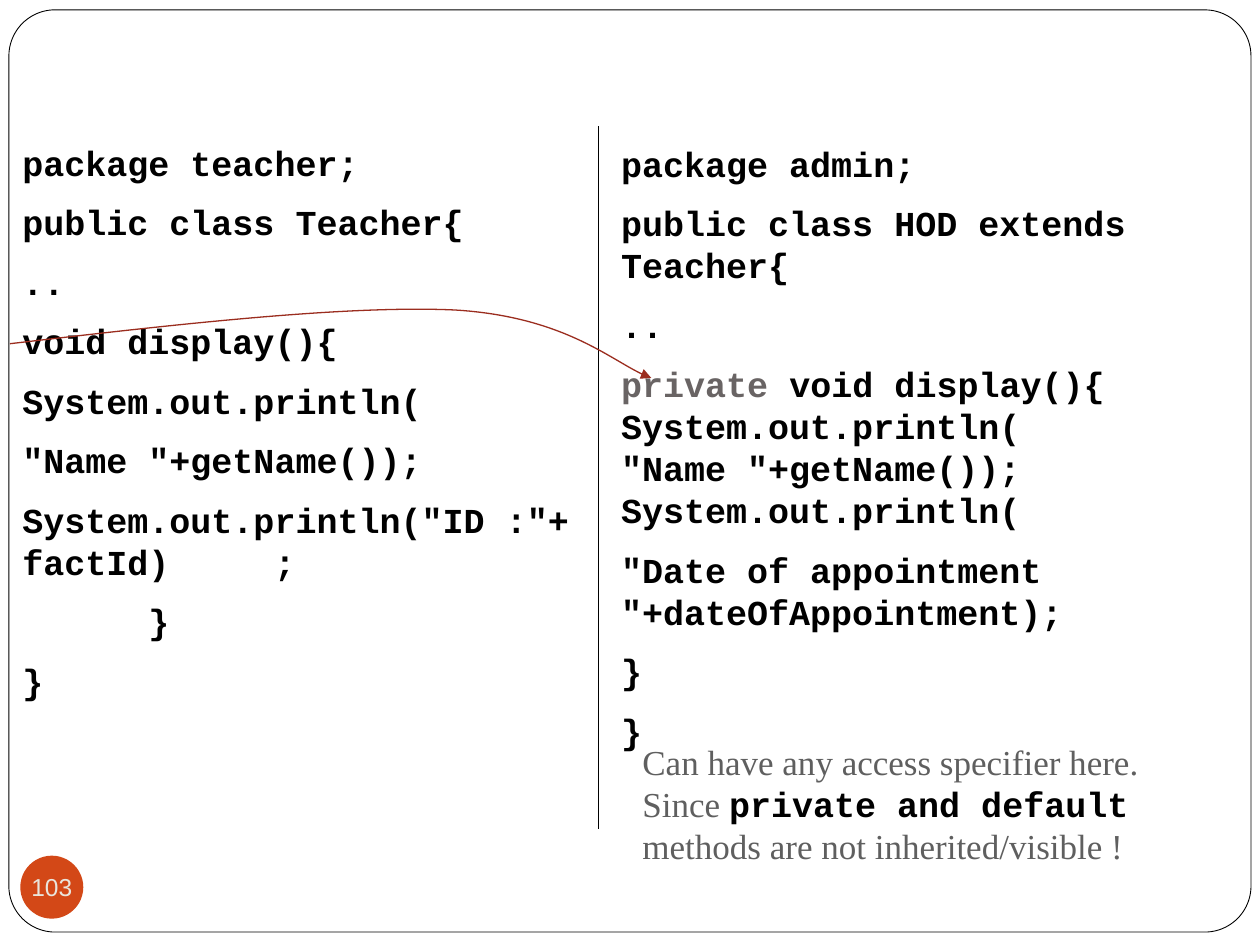
from lxml import etree
from pptx import Presentation
from pptx import util as u
from pptx.dml.color import RGBColor
from pptx.enum import shapes, text
from pptx.oxml.ns import qn

MONO, SERIF = "Courier New", "Times New Roman"
BLACK, GREY = "000000", "5F5F5F"

# Each paragraph: (runs of (words, colour), space before in points)
TEACHER = [([(line, BLACK)], 10) for line in (
    "package teacher;",
    "public class Teacher{",
    "..",
    "void display(){",
    "System.out.println(",
    '"Name "+getName());',
    'System.out.println("ID :"+factId)\t;',
    "\t}",
    "}",
)]
ADMIN = [
    ([("package admin;", BLACK)], 0),
    ([("public class HOD extends Teacher{", BLACK)], 10),
    ([("..", BLACK)], 10),
    ([("private ", "696464"), ("void display(){", BLACK)], 10),
    ([("System.out.println(", BLACK)], 0),
    ([('"Name "+getName()); System.out.println(', BLACK)], 0),
    ([('"Date of appointment "+dateOfAppointment);', BLACK)], 10),
    ([("}", BLACK)], 10),
    ([("}", BLACK)], 10),
]
NOTE = [
    ("Can have any access specifier here. Since ", SERIF, GREY),
    ("private and default ", MONO, BLACK),
    ("methods are not inherited/visible !", SERIF, GREY),
]


def rgb(code):
    return RGBColor.from_string(code)


def cm(*sizes):
    return [u.Cm(size) for size in sizes]


def style(run, face, size, colour, bold=False):
    font = run.font
    font.name, font.size, font.bold = face, u.Pt(size), bold
    font.color.rgb = rgb(colour)


def add_run(para, words, face, colour):
    run = para.add_run()
    run.text = words
    style(run, face, 20, colour, face == MONO)


def add_tabs(para, stops):
    props = para._p.get_or_add_pPr()
    tabs = etree.SubElement(props, qn("a:tabLst"))
    for stop in stops:
        etree.SubElement(tabs, qn("a:tab"), pos=str(u.Cm(stop)), algn="l")


def add_frame(slide, box):
    frame = slide.shapes.add_shape(
        shapes.MSO_SHAPE.ROUNDED_RECTANGLE, *cm(*box))
    frame.adjustments[0] = 0.05
    frame.shadow.inherit = False
    frame.fill.solid()
    frame.fill.fore_color.rgb = rgb("FFFFFF")
    frame.line.color.rgb = rgb(BLACK)
    frame.line.width = u.Pt(0.5)


def text_box(slide, box):
    body = slide.shapes.add_textbox(*cm(*box)).text_frame
    body.word_wrap = True
    return body


def add_code(slide, box, lines):
    body = text_box(slide, box)
    for row, (runs, gap) in enumerate(lines):
        para = body.add_paragraph() if row else body.paragraphs[0]
        para.line_spacing = u.Pt(24)
        para.space_before = u.Pt(gap if row else 0)
        if any("\t" in words for words, _ in runs):
            add_tabs(para, (2.54, 5.08))
        for words, colour in runs:
            add_run(para, words, MONO, colour)


def add_note(slide, box):
    para = text_box(slide, box).paragraphs[0]
    para.line_spacing = u.Pt(24)
    for words, face, colour in NOTE:
        add_run(para, words, face, colour)


def add_rule(slide, left, top, height):
    rule = slide.shapes.add_connector(
        shapes.MSO_CONNECTOR.STRAIGHT, *cm(left, top, left, top + height))
    rule.line.color.rgb = rgb(BLACK)
    rule.line.width = u.Pt(0.75)
    etree.SubElement(rule._element.spPr, qn("a:effectLst"))


def add_curve(slide, left, top, points):
    """Draw an arrow of cubic curves; points are offsets from left and top."""
    spots = [cm(left + x, top + y) for x, y in points]
    pen = slide.shapes.build_freeform(*spots[0])
    pen.add_line_segments(spots[1:], close=False)
    curve = pen.convert_to_shape()
    curve.shadow.inherit = False
    curve.fill.background()
    curve.line.color.rgb = rgb("9B2D1F")
    curve.line.width = u.Pt(0.75)
    track = curve._element.find(".//" + qn("a:path"))
    steps = track.findall(qn("a:lnTo"))
    for start in range(0, len(steps), 3):
        bend = etree.SubElement(track, qn("a:cubicBezTo"))
        for step in steps[start:start + 3]:
            bend.append(step[0])
            track.remove(step)
    edge = curve._element.spPr.find(qn("a:ln"))
    etree.SubElement(edge, qn("a:tailEnd"), type="triangle")


def add_badge(slide, left, top, size):
    badge = slide.shapes.add_shape(
        shapes.MSO_SHAPE.OVAL, *cm(left, top, size, size))
    badge.shadow.inherit = False
    badge.fill.solid()
    badge.fill.fore_color.rgb = rgb("D34817")
    badge.line.fill.background()
    body = badge.text_frame
    body.text = "103"
    body.word_wrap = False
    body.vertical_anchor = text.MSO_ANCHOR.MIDDLE
    body.margin_left = body.margin_right = 0
    body.margin_top = body.margin_bottom = 0
    para = body.paragraphs[0]
    para.alignment = text.PP_ALIGN.CENTER
    style(para.runs[0], "Arial", 14, "E9E5DC")


def main():
    deck = Presentation()
    deck.slide_width, deck.slide_height = cm(25.4, 19.05)
    slide = deck.slides.add_slide(deck.slide_layouts[6])
    add_frame(slide, (0.18, 0.2, 25.04, 18.59))
    add_code(slide, (0.2, 2.72, 11.63, 12.22), TEACHER)
    add_code(slide, (12.27, 2.74, 13.34, 13.08), ADMIN)
    add_rule(slide, 12.07, 2.54, 14.17)
    add_curve(slide, 0.2, 6.15, [
        (0, 0.78), (3.4, 0.38), (6.81, 0), (8.97, 0.1),
        (11.13, 0.23), (12.27, 1.24), (12.93, 1.47)])
    add_note(slide, (12.7, 14.81, 12.07, 2.82))
    add_badge(slide, 0.41, 17.25, 1.27)
    deck.save("out.pptx")


if __name__ == "__main__":
    main()
